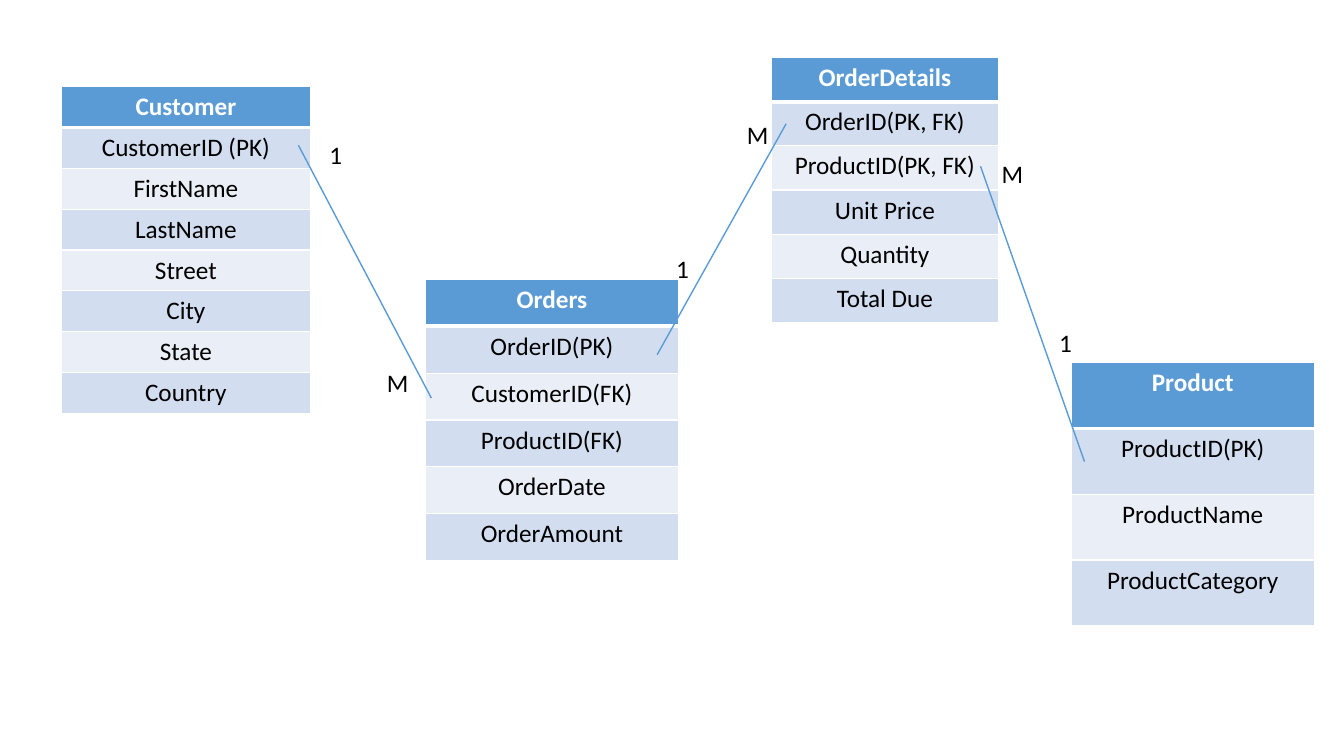
from lxml.etree import SubElement
from pptx import Presentation
from pptx.dml.color import RGBColor
from pptx.enum.shapes import MSO_CONNECTOR
from pptx.enum.text import MSO_AUTO_SIZE, PP_ALIGN
from pptx.oxml.ns import qn
from pptx.util import Cm, Pt

COLORS = {
    "header": "5B9BD5",
    "odd_row": "D2DEEF",
    "even_row": "EAEFF7",
    "border": "FFFFFF",
    "header_text": "FFFFFF",
    "text": "000000",
    "line": "5B9BD5",
}
LABEL_WIDTHS = {"1": 1.14, "M": 0.66}
LABEL_HEIGHT = 1.02

ENTITIES = [
    ("Customer", (1.55, 2.18, 6.27, 8.13),
     ["CustomerID (PK)", "FirstName", "LastName", "Street", "City", "State", "Country"]),
    ("Orders", (10.72, 7.04, 6.38, 7.09),
     ["OrderID(PK)", "CustomerID(FK)", "ProductID(FK)", "OrderDate", "OrderAmount"]),
    ("OrderDetails", (19.43, 1.45, 5.74, 6.68),
     ["OrderID(PK, FK)", "ProductID(PK, FK)", "Unit Price", "Quantity", "Total Due"]),
    ("Product", (27, 9.14, 6.12, 6.63),
     ["ProductID(PK)", "ProductName", "ProductCategory"]),
]

RELATIONSHIPS = [
    ((7.52, 3.66, 10.87, 10.03), {"1": (0.53, -0.28), "M": (-1.37, -0.89)}),
    ((16.56, 8.94, 19.81, 3.12), {"1": (0.23, -2.69), "M": (-1.24, -0.25)}),
    ((27.33, 11.63, 24.71, 4.19), {"1": (-0.89, -3.5), "M": (0.28, -0.33)}),
]


def color(name):
    """Return the named colour."""
    return RGBColor.from_string(COLORS[name])


def add_text(paragraph, text, color_name, bold=False):
    """Add one formatted run to the paragraph."""
    run = paragraph.add_run()
    run.text = text
    run.font.name = "Calibri"
    run.font.size = Pt(18)
    run.font.bold = bold
    run.font.color.rgb = color(color_name)


def add_borders(cell, top, bottom):
    """Give the cell solid borders with the given top and bottom widths in points."""
    properties = cell._tc.get_or_add_tcPr()
    for side, width in (("L", 1), ("R", 1), ("T", top), ("B", bottom)):
        border = SubElement(properties, qn(f"a:ln{side}"), w=str(Pt(width)))
        fill = SubElement(border, qn("a:solidFill"))
        SubElement(fill, qn("a:srgbClr"), val=COLORS["border"])


def draw_entity(slide, box, name, attributes):
    """Fill the box with an entity table: its name above its attributes."""
    left, top, width, height = box
    labels = [name, *attributes]
    table = slide.shapes.add_table(
        len(labels), 1, Cm(left), Cm(top), Cm(width), Cm(height)).table
    for index, label in enumerate(labels):
        cell = table.cell(index, 0)
        is_header = index == 0
        add_borders(cell, 3 if index == 1 else 1, 3 if is_header else 1)
        fill_name = "header" if is_header else "odd_row" if index % 2 else "even_row"
        cell.fill.solid()
        cell.fill.fore_color.rgb = color(fill_name)
        paragraph = cell.text_frame.paragraphs[0]
        paragraph.alignment = PP_ALIGN.CENTER
        add_text(paragraph, label, "header_text" if is_header else "text", is_header)


def draw_relationship(slide, ends, offsets):
    """Join the one side to the many side and label each end at its offset."""
    one_x, one_y, many_x, many_y = ends
    connector = slide.shapes.add_connector(
        MSO_CONNECTOR.STRAIGHT, Cm(one_x), Cm(one_y), Cm(many_x), Cm(many_y))
    connector.line.color.rgb = color("line")
    connector.line.width = Pt(1)
    SubElement(connector._element.spPr, qn("a:effectLst"))
    for label, x, y in (("1", one_x, one_y), ("M", many_x, many_y)):
        shift_x, shift_y = offsets[label]
        shape = slide.shapes.add_textbox(
            Cm(x + shift_x), Cm(y + shift_y), Cm(LABEL_WIDTHS[label]), Cm(LABEL_HEIGHT))
        shape.text_frame.word_wrap = True
        shape.text_frame.auto_size = MSO_AUTO_SIZE.SHAPE_TO_FIT_TEXT
        add_text(shape.text_frame.paragraphs[0], label, "text")


def main():
    """Build the entity relationship slide and save it."""
    presentation = Presentation()
    presentation.slide_width = Cm(33.87)
    presentation.slide_height = Cm(19.05)
    slide = presentation.slides.add_slide(presentation.slide_layouts[6])
    for name, box, attributes in ENTITIES:
        draw_entity(slide, box, name, attributes)
    for ends, offsets in RELATIONSHIPS:
        draw_relationship(slide, ends, offsets)
    presentation.save("out.pptx")


main()
